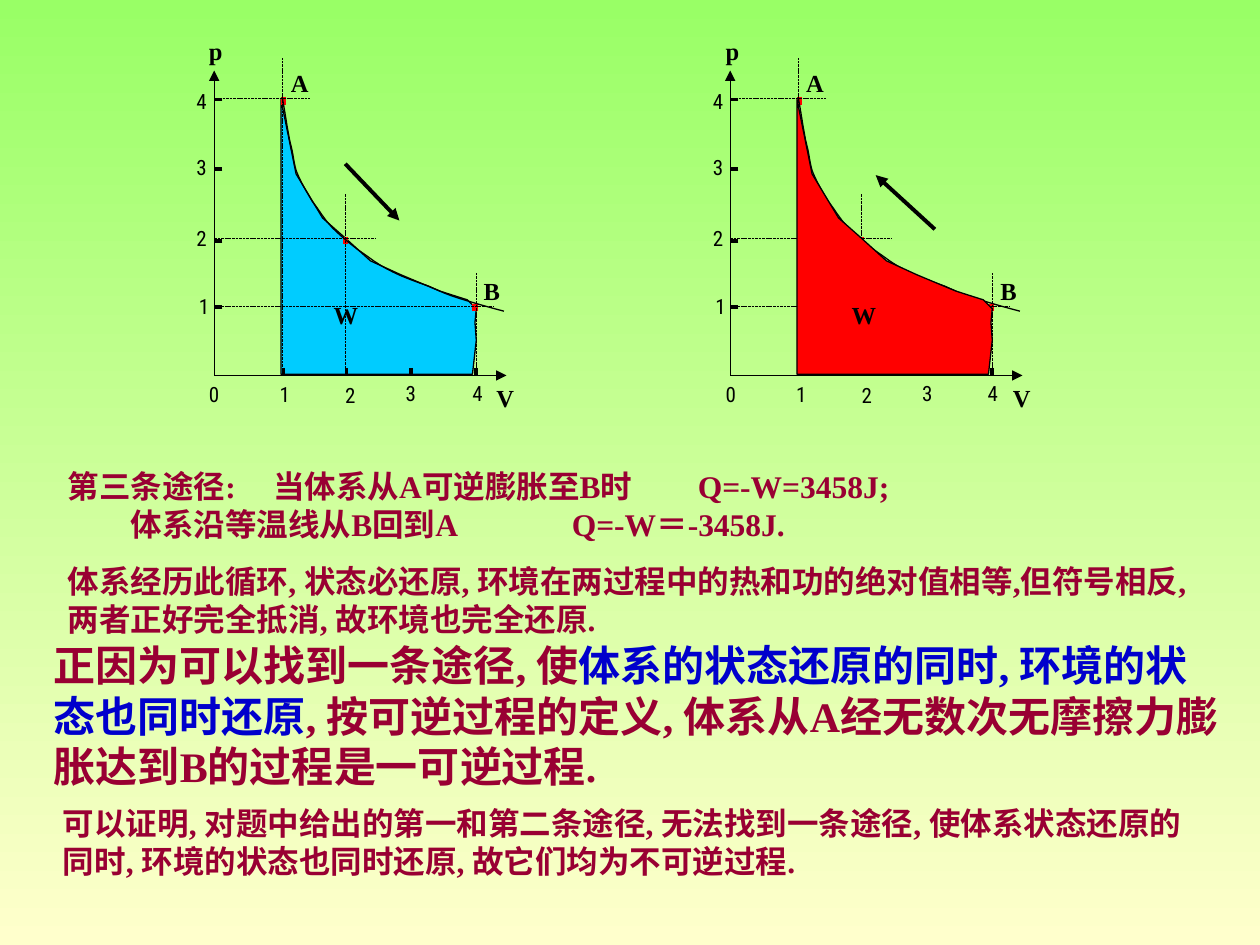
"""Build a slide comparing reversible expansion and compression on p-V diagrams."""
from lxml import etree
from pptx import Presentation
from pptx.dml.color import RGBColor
from pptx.enum.dml import MSO_LINE
from pptx.enum.shapes import MSO_CONNECTOR
from pptx.oxml.ns import qn
from pptx.util import Inches, Pt

STRAIGHT = MSO_CONNECTOR.STRAIGHT
DOTTED = MSO_LINE.SQUARE_DOT
SERIF, LABEL_FONT = "Times New Roman", "Roboto Condensed"
BLACK, RED, CYAN, MAROON, BLUE = "000000", "FF0000", "00CCFF", "990033", "0000CC"
color = RGBColor.from_string

presentation = Presentation()
presentation.slide_width, presentation.slide_height = Inches(10), Inches(7.5)
UNIT = presentation.slide_width // 1000
slide = presentation.slides.add_slide(presentation.slide_layouts[6])
shapes = slide.shapes

background = slide.background.fill
background.gradient()
background.gradient_angle = 270
for stop, shade in zip(background.gradient_stops, ("99FF66", "FFFFCC")):
    stop.color.rgb = color(shade)


def add_line(x1, y1, x2, y2, width, shade=BLACK, dash=None, arrow=False):
    """Draw a straight line between two grid points."""
    connector = shapes.add_connector(STRAIGHT, *(round(v * UNIT) for v in (x1, y1, x2, y2)))
    connector.line.color.rgb = color(shade)
    connector.line.width = Pt(width)
    if dash:
        connector.line.dash_style = dash
    properties = connector._element.spPr
    if arrow:
        etree.SubElement(properties.find(qn("a:ln")), qn("a:tailEnd"), type="triangle")
    etree.SubElement(properties, qn("a:effectLst"))


def add_text(left, top, width, height, paragraphs, size, font=SERIF, bold=True, tabs=()):
    """Add a text box whose paragraphs are lists of (text, colour) runs."""
    box = shapes.add_textbox(*(v * UNIT for v in (left, top, width, height)))
    frame = box.text_frame
    frame.word_wrap = True
    for index, runs in enumerate(paragraphs):
        paragraph = frame.add_paragraph() if index else frame.paragraphs[0]
        if index:
            paragraph.space_before = Pt(11.2)
        if tabs and index == 0:
            tab_list = etree.SubElement(paragraph._p.get_or_add_pPr(), qn("a:tabLst"))
            for position in tabs:
                etree.SubElement(tab_list, qn("a:tab"), pos=str(position * UNIT), algn="l")
        for text, shade in runs:
            for line_index, line in enumerate(text.split("\n")):
                if line_index:
                    paragraph.add_line_break()
                run = paragraph.add_run()
                run.text = line
                run.font.color.rgb = color(shade)
        paragraph.font.name, paragraph.font.size, paragraph.font.bold = font, Pt(size), bold
    return box


AREA = [(223, 79), (235, 138), (256, 173), (273, 188), (294, 207), (318, 218), (349, 231),
        (371, 238), (378, 245), (377, 256), (378, 270), (375, 297), (223, 297)]
ISOTHERM = [(224, 77), (227, 93), (229, 110), (232, 120), (234, 131), (234, 134), (237, 140),
            (240, 147), (244, 153), (248, 160), (253, 166), (257, 174), (264, 181),
            (271, 188), (283, 198), (291, 203), (299, 209), (304, 212), (312, 216),
            (320, 220), (331, 224), (340, 227), (349, 231), (355, 234), (365, 237),
            (375, 240), (388, 244), (400, 247)]
curve = ISOTHERM[:1]
for first in range(0, len(ISOTHERM) - 1, 3):
    controls = ISOTHERM[first:first + 4]
    for t in (0.25, 0.5, 0.75, 1):
        weights = ((1 - t) ** 3, 3 * t * (1 - t) ** 2, 3 * t * t * (1 - t), t ** 3)
        curve.append(tuple(sum(w * p[axis] for w, p in zip(weights, controls)) for axis in (0, 1)))

AXIS_LETTERS = [("V", 384, 299, 42), ("p", 156, 24, 42), ("B", 374, 214, 31), ("A", 221, 49, 34)]
TICK_LABELS = [("0", 156, 298), ("1", 212, 298), ("2", 264, 299), ("3", 312, 297), ("4", 365, 297),
               ("1", 148, 228), ("2", 146, 174), ("3", 146, 118), ("4", 146, 65)]
GUIDES = [(224, 297, 224, 46), (171, 78, 246, 78), (274, 298, 274, 154),
          (170, 189, 298, 189), (378, 295, 378, 216), (170, 243, 392, 243)]
PANELS = [(0, CYAN, 255, ("area", "diagram")), (409.5, RED, 257, ("diagram", "area"))]

for offset, fill, work_left, layers in PANELS:
    outlines = {"area": (AREA, True), "diagram": (curve, False)}
    for layer in layers:
        if layer == "diagram":
            add_line(offset + 170, 298, offset + 170, 56, 0.75, arrow=True)
            add_line(offset + 170, 298, offset + 402, 298, 0.75, arrow=True)
            for x in (225, 275, 326, 378):
                add_line(offset + x, 292, offset + x, 297.5, 2.25)
            for y in (79, 134, 191, 244):
                add_line(offset + 176.5, y, offset + 171, y, 2.25)
            for x, y in ((274, 188), (225, 77), (377, 241)):
                add_line(offset + x, y, offset + x, y + 6, 3, RED)
            for x1, y1, x2, y2 in GUIDES:
                add_line(offset + x1, y1, offset + x2, y2, 0.5, dash=DOTTED)

        points, closed = outlines[layer]
        points = [(round((x + offset) * UNIT), round(y * UNIT)) for x, y in points]
        builder = shapes.build_freeform(*points[0])
        builder.add_line_segments(points[1:], close=closed)
        outline = builder.convert_to_shape()
        outline.shadow.inherit = False
        outline.line.color.rgb = color(BLACK)
        outline.line.width = Pt(0.75)
        if closed:
            outline.fill.solid()
            outline.fill.fore_color.rgb = color(fill)
            work = add_text(round(offset + work_left), 233, 62, 34, [[("W", BLACK)]], 14)
            if fill == RED:
                work.fill.solid()
                work.fill.fore_color.rgb = color(fill)
        else:
            outline.fill.background()
            for label, x, y in TICK_LABELS:
                add_text(round(offset + x), y, 29, 30, [[(label, BLACK)]], 12, LABEL_FONT, False)
            for label, x, y, width in AXIS_LETTERS:
                add_text(round(offset + x), y, width, 34, [[(label, BLACK)]], 14)

add_line(274, 130, 317, 175, 2.25, arrow=True)
add_line(742, 182, 695, 139, 2.25, arrow=True)

add_text(44, 366, 928, 146, [
    [("第三条途径:\t当体系从A可逆膨胀至B时\tQ=-W=3458J;\n\t体系沿等温线从B回到A\tQ=-W＝-3458J.", MAROON)],
    [("体系经历此循环, 状态必还原, 环境在两过程中的热和功的绝对值相等,但符号相反, "
      "两者正好完全抵消, 故环境也完全还原.", MAROON)],
], 18, tabs=(50, 163, 400, 500))
add_text(33, 503, 948, 130, [[
    ("正因为可以找到一条途径, 使", MAROON),
    ("体系的状态还原的同时, 环境的状态也同时还原", BLUE),
    (", 按可逆过程的定义, 体系从A经无数次无摩擦力膨胀达到B的过程是一可逆过程.", MAROON),
]], 24)
add_text(40, 633, 924, 70, [[
    ("可以证明, 对题中给出的第一和第二条途径, 无法找到一条途径, 使体系状态还原的同时, "
     "环境的状态也同时还原, 故它们均为不可逆过程.", MAROON),
]], 18)

presentation.save("out.pptx")
